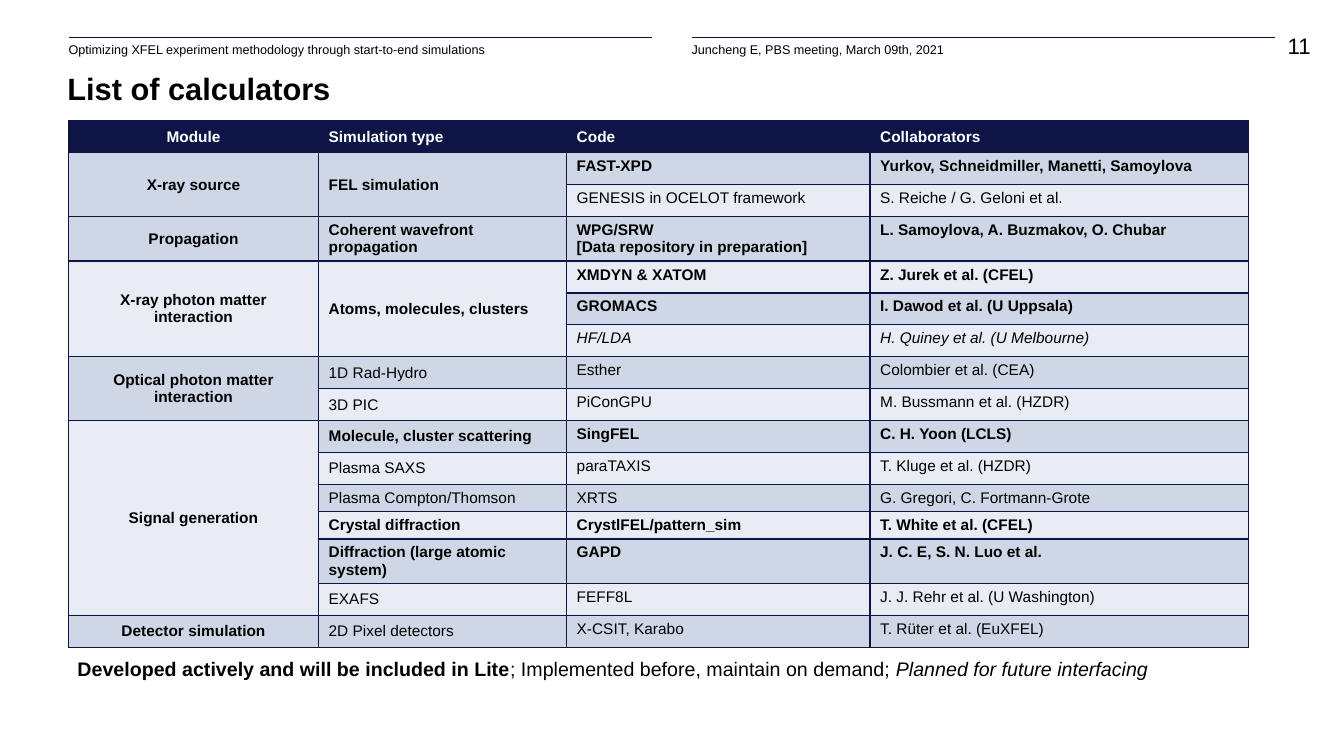
from dataclasses import dataclass
from enum import Enum

from lxml.etree import SubElement
from pptx import Presentation
from pptx.dml.color import RGBColor
from pptx.enum.shapes import MSO_CONNECTOR
from pptx.enum.text import MSO_ANCHOR as ANCHOR, PP_ALIGN as ALIGN
from pptx.oxml.ns import qn
from pptx.slide import Slide
from pptx.table import Table, _Cell as Cell
from pptx.text.text import Font
from pptx.util import Inches, Pt

NAVY = RGBColor(0x0D, 0x15, 0x46)
DARK_BAND = RGBColor(0xCF, 0xD7, 0xE7)
LIGHT_BAND = RGBColor(0xE8, 0xEC, 0xF4)
WHITE = RGBColor(0xFF, 0xFF, 0xFF)
BLACK = RGBColor(0, 0, 0)


class Status(Enum):
    ACTIVE = "bold"
    ON_DEMAND = "plain"
    PLANNED = "italic"


ACTIVE, ON_DEMAND, PLANNED = Status


@dataclass
class Calculator:
    status: Status
    simulation: str
    code: str
    collaborators: str
    height: float = 0


@dataclass
class Module:
    name: str
    fill: RGBColor
    calculators: list[Calculator]


@dataclass
class Label:
    left: float
    top: float
    width: float
    height: float
    runs: list[tuple[str, Status]]
    size: int
    inset_x: float = 0
    inset_y: float = 0
    align: ALIGN = ALIGN.LEFT


HEADER = ["Module", "Simulation type", "Code", "Collaborators"]
COLUMN_WIDTHS = [2.48, 2.46, 3.01, 3.75]
TABLE_HEIGHT = 5.22
TALL, SHORT = 0.44, 0.27

MODULES = [
    Module("X-ray source", DARK_BAND, [
        Calculator(ACTIVE, "FEL simulation", "FAST-XPD", "Yurkov, Schneidmiller, Manetti, Samoylova"),
        Calculator(ON_DEMAND, "", "GENESIS in OCELOT framework", "S. Reiche / G. Geloni et al."),
    ]),
    Module("Propagation", DARK_BAND, [
        Calculator(ACTIVE, "Coherent wavefront propagation", "WPG/SRW\n[Data repository in preparation]",
                   "L. Samoylova, A. Buzmakov, O. Chubar", TALL),
    ]),
    Module("X-ray photon matter interaction", LIGHT_BAND, [
        Calculator(ACTIVE, "Atoms, molecules, clusters", "XMDYN & XATOM", "Z. Jurek et al. (CFEL)"),
        Calculator(ACTIVE, "", "GROMACS", "I. Dawod et al. (U Uppsala)"),
        Calculator(PLANNED, "", "HF/LDA", "H. Quiney et al. (U Melbourne)"),
    ]),
    Module("Optical photon matter interaction", DARK_BAND, [
        Calculator(ON_DEMAND, "1D Rad-Hydro", "Esther", "Colombier et al. (CEA)"),
        Calculator(ON_DEMAND, "3D PIC", "PiConGPU", "M. Bussmann et al. (HZDR)"),
    ]),
    Module("Signal generation", LIGHT_BAND, [
        Calculator(ACTIVE, "Molecule, cluster scattering", "SingFEL", "C. H. Yoon (LCLS)"),
        Calculator(ON_DEMAND, "Plasma SAXS", "paraTAXIS", "T. Kluge et al. (HZDR)"),
        Calculator(ON_DEMAND, "Plasma Compton/Thomson", "XRTS", "G. Gregori, C. Fortmann-Grote", SHORT),
        Calculator(ACTIVE, "Crystal diffraction", "CrystlFEL/pattern_sim", "T. White et al. (CFEL)", SHORT),
        Calculator(ACTIVE, "Diffraction (large atomic system)", "GAPD", "J. C. E, S. N. Luo et al.", TALL),
        Calculator(ON_DEMAND, "EXAFS", "FEFF8L", "J. J. Rehr et al. (U Washington)"),
    ]),
    Module("Detector simulation", DARK_BAND, [
        Calculator(ON_DEMAND, "2D Pixel detectors", "X-CSIT, Karabo", "T. Rüter et al. (EuXFEL)"),
    ]),
]

HEADER_COLUMNS = [
    (0.68, "Optimizing XFEL experiment methodology through start-to-end simulations"),
    (6.86, "Juncheng E, PBS meeting, March 09th, 2021"),
]
HEADER_WIDTH = 5.79

LABELS = [
    Label(12.44, 0.32, 0.56, 0.32, [("11", ON_DEMAND)], 16, align=ALIGN.RIGHT),
    *[Label(left, 0.42, HEADER_WIDTH, 0.24, [(text, ON_DEMAND)], 9) for left, text in HEADER_COLUMNS],
    Label(0.67, 6.47, 11.7, 0.34, [
        ("Developed actively and will be included in Lite", ACTIVE),
        ("; Implemented before, maintain on demand; ", ON_DEMAND),
        ("Planned for future interfacing", PLANNED),
    ], 14, 0.1, 0.05),
    Label(0.57, 0.59, 3.28, 0.57, [("List of calculators", ACTIVE)], 22, 0.1, 0.1),
]


def set_font(font: Font, size: int, status: Status, color: RGBColor = BLACK) -> None:
    font.name = "Arial"
    font.size = Pt(size)
    font.bold = status is ACTIVE
    font.italic = status is PLANNED
    font.color.rgb = color


def add_label(s: Slide, label: Label) -> None:
    box = s.shapes.add_textbox(*map(Inches, (label.left, label.top, label.width, label.height)))
    tf = box.text_frame
    tf.word_wrap = True
    tf.margin_left = tf.margin_right = Inches(label.inset_x)
    tf.margin_top = tf.margin_bottom = Inches(label.inset_y)
    p = tf.paragraphs[0]
    p.alignment = label.align
    for text, status in label.runs:
        r = p.add_run()
        r.text = text
        set_font(r.font, label.size, status)


def add_rule(s: Slide, left: float) -> None:
    y = Inches(0.37)
    rule = s.shapes.add_connector(MSO_CONNECTOR.STRAIGHT, Inches(left), y, Inches(left + HEADER_WIDTH), y)
    rule.line.color.rgb = NAVY
    rule.line.width = Pt(0.75)
    SubElement(rule._element.spPr, qn("a:effectLst"))


def paint_cell(cell: Cell, fill: RGBColor) -> None:
    tcPr = cell._tc.get_or_add_tcPr()
    for side in ("lnL", "lnR", "lnT", "lnB"):
        ln = SubElement(tcPr, qn(f"a:{side}"), w=str(Pt(1)))
        SubElement(SubElement(ln, qn("a:solidFill")), qn("a:srgbClr"), val=str(NAVY))
    cell.fill.solid()
    cell.fill.fore_color.rgb = fill


def write_cell(cell: Cell, text: str, status: Status, color: RGBColor = BLACK,
               align: ALIGN = ALIGN.LEFT, anchor: ANCHOR = ANCHOR.MIDDLE) -> None:
    cell.text_frame.text = text
    cell.vertical_anchor = anchor
    for p in cell.text_frame.paragraphs:
        p.alignment = align
        set_font(p.font, 11, status, color)
        for r in p.runs:
            set_font(r.font, 11, status, color)


def add_module(table: Table, module: Module, first: int) -> None:
    last = first + len(module.calculators) - 1
    for row, calc in enumerate(module.calculators, first):
        band = DARK_BAND if row % 2 else LIGHT_BAND
        texts = [module.name if row == first else "", calc.simulation, calc.code, calc.collaborators]
        for col, text in enumerate(texts):
            cell = table.cell(row, col)
            paint_cell(cell, band if col else module.fill)
            write_cell(cell, text, calc.status if col else ACTIVE,
                       align=ALIGN.LEFT if col else ALIGN.CENTER,
                       anchor=ANCHOR.MIDDLE if col < 2 else ANCHOR.TOP)
    if last > first:
        table.cell(first, 0).merge(table.cell(last, 0))
        if not module.calculators[-1].simulation:
            table.cell(first, 1).merge(table.cell(last, 1))


def add_calculator_table(s: Slide) -> None:
    heights = [0] + [calc.height for module in MODULES for calc in module.calculators]
    regular = (TABLE_HEIGHT - sum(heights)) / heights.count(0)
    table = s.shapes.add_table(len(heights), len(HEADER), Inches(0.68), Inches(1.2),
                               Inches(sum(COLUMN_WIDTHS)), Inches(TABLE_HEIGHT)).table
    for column, width in zip(table.columns, COLUMN_WIDTHS):
        column.width = Inches(width)
    for row, height in zip(table.rows, heights):
        row.height = Inches(height or regular)
    for col, text in enumerate(HEADER):
        paint_cell(table.cell(0, col), NAVY)
        write_cell(table.cell(0, col), text, ACTIVE, WHITE, ALIGN.LEFT if col else ALIGN.CENTER)
    first = 1
    for module in MODULES:
        add_module(table, module, first)
        first += len(module.calculators)


def main() -> None:
    prs = Presentation()
    prs.slide_width, prs.slide_height = Inches(13.33), Inches(7.5)
    s = prs.slides.add_slide(prs.slide_layouts[6])
    for left, _ in HEADER_COLUMNS:
        add_rule(s, left)
    add_calculator_table(s)
    for label in LABELS:
        add_label(s, label)
    prs.save("out.pptx")


if __name__ == "__main__":
    main()
